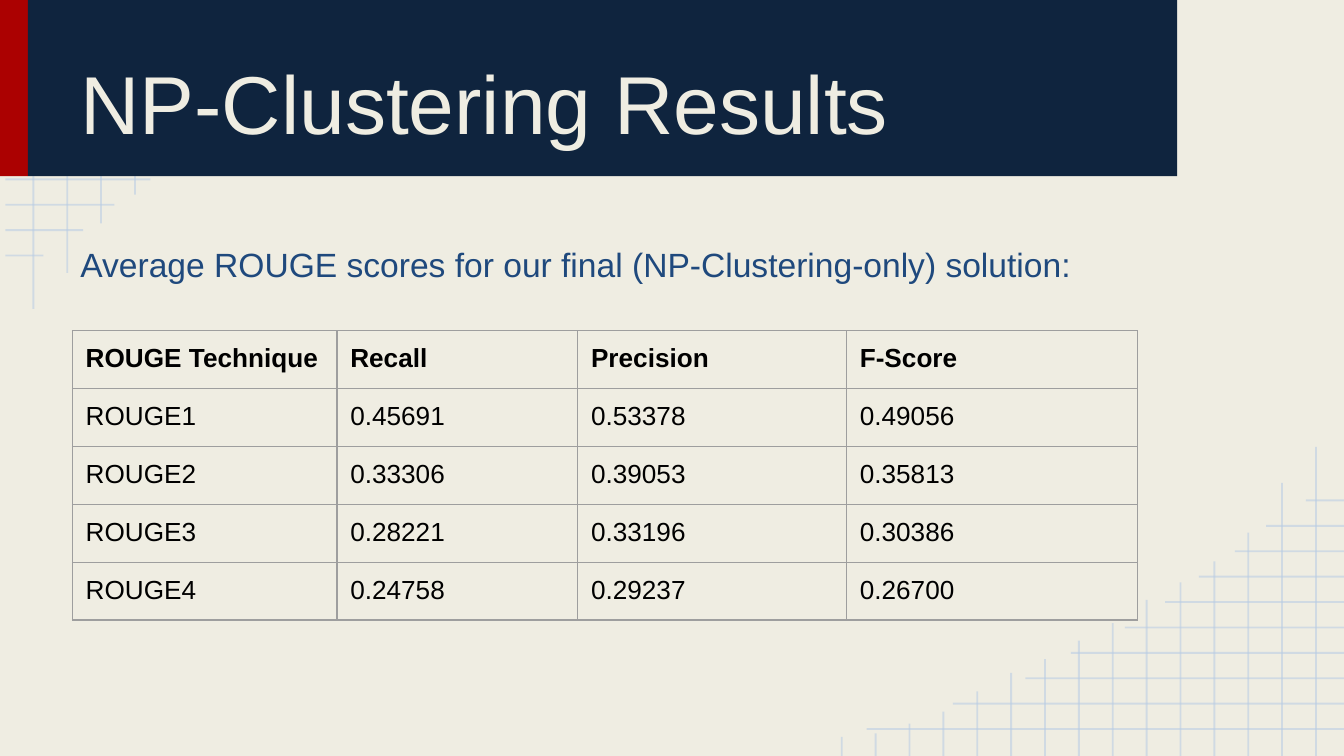
from lxml import etree
from pptx import Presentation
from pptx.dml.color import RGBColor
from pptx.enum.shapes import MSO_CONNECTOR, MSO_SHAPE
from pptx.enum.text import MSO_ANCHOR, PP_ALIGN
from pptx.oxml.ns import qn
from pptx.util import Cm, Pt

LINE, RECT = MSO_CONNECTOR.STRAIGHT, MSO_SHAPE.RECTANGLE
TOP, BOTTOM, LEFT = MSO_ANCHOR.TOP, MSO_ANCHOR.BOTTOM, PP_ALIGN.LEFT

CREAM = RGBColor(0xEF, 0xED, 0xE2)
NAVY = RGBColor(0x0F, 0x24, 0x3E)
RED = RGBColor(0xAB, 0x01, 0x01)
BLUE = RGBColor(0x1F, 0x49, 0x7D)
PALE = RGBColor(0xB7, 0xCC, 0xE4)
GREY = RGBColor(0x9E, 0x9E, 0x9E)
BLACK = RGBColor(0, 0, 0)

WIDE, HIGH = 25.4, 14.29
PAD = Cm(0.25)
ROWS = [9.02, 7.39, 6.02, 5.16, 4.14, 3.38, 2.74, 2.06, 1.47, 0.72]
COLS = [5.84, 5.16, 4.22, 3.68, 3.28, 2.95, 2.51, 2.18,
        1.83, 1.57, 1.22, 0.84, 0.61, 0.43, 0.36]
SCORES = [
    ["ROUGE Technique", "Recall", "Precision", "F-Score"],
    ["ROUGE1", "0.45691", "0.53378", "0.49056"],
    ["ROUGE2", "0.33306", "0.39053", "0.35813"],
    ["ROUGE3", "0.28221", "0.33196", "0.30386"],
    ["ROUGE4", "0.24758", "0.29237", "0.26700"],
]


def add_line(slide, x1, y1, x2, y2):
    """Draw one pale, half-clear line."""
    line = slide.shapes.add_connector(LINE, Cm(x1), Cm(y1), Cm(x2), Cm(y2))
    line.line.color.rgb = PALE
    line.line.width = Pt(1)
    props = line._element.spPr
    tint = props.find(".//" + qn("a:srgbClr"))
    etree.SubElement(tint, qn("a:alpha"), val="54000")
    etree.SubElement(props, qn("a:effectLst"))


def add_grid(slide, x, y, way):
    """Draw a fading grid from a corner; way is 1 or -1 for its direction."""
    for i, size in enumerate(ROWS):
        level = y + way * (0.51 + 0.48 * i)
        add_line(slide, x, level, x + way * size, level)
    for i, size in enumerate(COLS):
        place = x + way * (0.53 + 0.64 * i)
        add_line(slide, place, y + way * size, place, y)


def add_bar(slide, x, y, w, h, color):
    """Draw a plain filled bar."""
    bar = slide.shapes.add_shape(RECT, Cm(x), Cm(y), Cm(w), Cm(h))
    bar.shadow.inherit = False
    bar.fill.solid()
    bar.fill.fore_color.rgb = color
    bar.line.fill.background()


def set_text(frame, text, size, color, anchor, bold=False):
    """Fill a text frame with one styled paragraph."""
    frame.word_wrap = True
    frame.vertical_anchor = anchor
    frame.margin_left = frame.margin_right = PAD
    frame.margin_top = frame.margin_bottom = PAD
    frame.text = text
    para = frame.paragraphs[0]
    para.alignment = LEFT
    font = para.runs[0].font
    font.name, font.size, font.bold = "Arial", Pt(size), bold
    font.color.rgb = color


def add_head(slide, x, y, w, h):
    """Build the title band: red edge, navy bar and title."""
    edge = 0.53
    add_bar(slide, x, y, edge, h, RED)
    add_bar(slide, x + edge, y, w - edge, h, NAVY)
    title = slide.shapes.title
    title.left, title.top = Cm(x + 1.27), Cm(y + 0.3)
    title.width, title.height = Cm(20.32), Cm(2.82)
    set_text(title.text_frame, "NP-Clustering Results", 44, CREAM, BOTTOM)
    slide.shapes._spTree.append(title._element)


def add_lead(slide, x, y, w, h):
    """Add the sentence above the table."""
    box = slide.shapes.add_textbox(Cm(x), Cm(y), Cm(w), Cm(h))
    text = "Average ROUGE scores for our final (NP-Clustering-only) solution:"
    set_text(box.text_frame, text, 18, BLUE, TOP)


def add_edges(cell):
    """Give a cell a thin grey border on all sides."""
    props = cell._tc.get_or_add_tcPr()
    for side in ("lnL", "lnR", "lnT", "lnB"):
        edge = etree.SubElement(props, qn("a:" + side), w=str(Pt(0.75)))
        fill = etree.SubElement(edge, qn("a:solidFill"))
        etree.SubElement(fill, qn("a:srgbClr"), val=str(GREY))


def add_scores(slide, x, y, widths, high):
    """Build the score table with the given column widths and row height."""
    frame = slide.shapes.add_table(len(SCORES), len(widths), Cm(x), Cm(y),
                                   Cm(sum(widths)), Cm(high * len(SCORES)))
    table = frame.table
    table.first_row = table.horz_banding = False
    for col, width in zip(table.columns, widths):
        col.width = Cm(width)
    for r, row in enumerate(SCORES):
        table.rows[r].height = Cm(high)
        for c, text in enumerate(row):
            cell = table.cell(r, c)
            add_edges(cell)
            cell.fill.background()
            cell.margin_left = cell.margin_right = PAD
            cell.margin_top = cell.margin_bottom = PAD
            cell.vertical_anchor = TOP
            cell.text = text
            font = cell.text_frame.paragraphs[0].runs[0].font
            font.name, font.size, font.bold = "Arial", Pt(14), r == 0
            font.color.rgb = BLACK


def main():
    """Build and save the slide."""
    deck = Presentation()
    deck.slide_width, deck.slide_height = Cm(WIDE), Cm(HIGH)
    slide = deck.slides.add_slide(deck.slide_layouts[5])
    back = slide.background.fill
    back.solid()
    back.fore_color.rgb = CREAM
    add_grid(slide, 0.1, 0, 1)
    add_grid(slide, WIDE, HIGH, -1)
    add_head(slide, 0, -0.02, 22.25, 3.35)
    add_lead(slide, 1.27, 4.37, 22.86, 1.24)
    add_scores(slide, 1.37, 6.25, [5, 4.55, 5.08, 5.49], 1.06)
    deck.save("out.pptx")


main()
